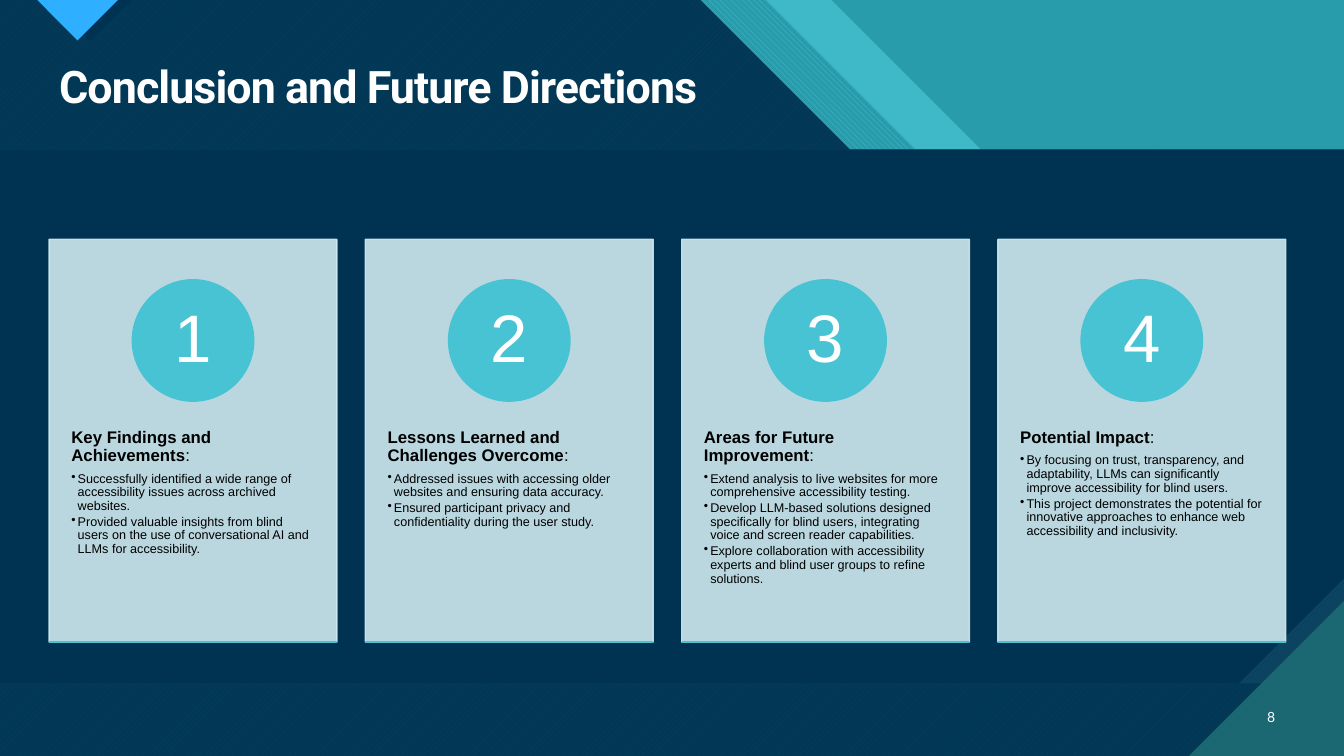
import lxml.etree
import pptx
import pptx.dml.color
import pptx.enum.dml
import pptx.enum.shapes
import pptx.enum.text
import pptx.oxml.ns
import pptx.util

Cm = pptx.util.Cm
Pt = pptx.util.Pt
SHAPE = pptx.enum.shapes.MSO_SHAPE
PATTERN = pptx.enum.dml.MSO_PATTERN
ALIGN = pptx.enum.text.PP_ALIGN
ANCHOR = pptx.enum.text.MSO_ANCHOR

WIDTH, HEIGHT = 33.87, 19.05
MARGIN = 1.24
HEADER_HEIGHT, PANEL_BOTTOM = 3.77, 17.22
CARD_WIDTH, CARD_HEIGHT, CARD_PITCH, CARD_TOP = 7.25, 10.15, 7.97, 6.03
BASE, AQUA, NAVY, DARK_TEAL = "299CAB", "47C3D3", "003352", "1B6872"

CARDS = [
    ("Key Findings and Achievements", [
        "Successfully identified a wide range of accessibility issues across archived websites.",
        "Provided valuable insights from blind users on the use of conversational AI and LLMs for accessibility.",
    ]),
    ("Lessons Learned and Challenges Overcome", [
        "Addressed issues with accessing older websites and ensuring data accuracy.",
        "Ensured participant privacy and confidentiality during the user study.",
    ]),
    ("Areas for Future Improvement", [
        "Extend analysis to live websites for more comprehensive accessibility testing.",
        "Develop LLM-based solutions designed specifically for blind users, integrating voice and screen reader "
        "capabilities.",
        "Explore collaboration with accessibility experts and blind user groups to refine solutions.",
    ]),
    ("Potential Impact", [
        "By focusing on trust, transparency, and adaptability, LLMs can significantly improve accessibility "
        "for blind users.",
        "This project demonstrates the potential for innovative approaches to enhance web accessibility "
        "and inclusivity.",
    ]),
]


def color(value):
    return pptx.dml.color.RGBColor.from_string(value)


def style_shape(shape, fill, line=None, opacity=100):
    """Fill with a hex colour, or with a (pattern, foreground, background) triple."""
    shape.shadow.inherit = False
    if isinstance(fill, tuple):
        shape.fill.patterned()
        shape.fill.pattern = fill[0]
        shape.fill.fore_color.rgb = color(fill[1])
        shape.fill.back_color.rgb = color(fill[2])
    else:
        shape.fill.solid()
        shape.fill.fore_color.rgb = color(fill)
    if line:
        shape.line.color.rgb = color(line)
        shape.line.width = Pt(1)
    else:
        shape.line.fill.background()
    if opacity < 100:
        for node in shape.element.spPr.iter(pptx.oxml.ns.qn("a:srgbClr")):
            alpha = lxml.etree.SubElement(node, pptx.oxml.ns.qn("a:alpha"))
            alpha.set("val", str(opacity * 1000))


def add_polygon(slide, points, fill, opacity=100):
    corners = [(Cm(x), Cm(y)) for x, y in points]
    builder = slide.shapes.build_freeform(*corners[0])
    builder.add_line_segments(corners[1:], close=True)
    style_shape(builder.convert_to_shape(), fill, opacity=opacity)


def add_box(slide, kind, left, top, width, height, fill, **style):
    shape = slide.shapes.add_shape(kind, Cm(left), Cm(top), Cm(width), Cm(height))
    style_shape(shape, fill, **style)
    return shape


def write_text(paragraph, text, size, font="Arial", ink="FFFFFF", bold=False, align=ALIGN.LEFT,
               after=0, spacing=0.9):
    paragraph.alignment = align
    paragraph.line_spacing = spacing
    paragraph.space_before = Pt(0)
    paragraph.space_after = Pt(after)
    run = paragraph.add_run()
    run.text = text
    run.font.name = font
    run.font.size = Pt(size)
    run.font.bold = bold
    run.font.color.rgb = color(ink)
    return run


def set_frame(frame, horizontal, vertical, anchor):
    frame.word_wrap = True
    frame.auto_size = pptx.enum.text.MSO_AUTO_SIZE.NONE
    frame.margin_left = frame.margin_right = Cm(horizontal)
    frame.margin_top = frame.margin_bottom = Cm(vertical)
    frame.vertical_anchor = anchor


def add_bullet(paragraph):
    properties = paragraph._p.get_or_add_pPr()
    indent = Cm(0.16)
    properties.set("marL", str(indent))
    properties.set("indent", str(-indent))
    bullet = lxml.etree.SubElement(properties, pptx.oxml.ns.qn("a:buChar"))
    bullet.set("char", "•")


def add_backdrop(slide, width, height):
    add_box(slide, SHAPE.RECTANGLE, 0, 0, width, height, BASE)
    ribbons = [
        (20.95, AQUA, 74),
        (19.3, (PATTERN.WIDE_DOWNWARD_DIAGONAL, AQUA, BASE), 100),
        (17.65, (PATTERN.WIDE_UPWARD_DIAGONAL, AQUA, DARK_TEAL), 100),
        (17.65, NAVY, 90),
    ]
    for edge, fill, opacity in ribbons:
        outline = [(0, 0), (edge, 0), (edge + HEADER_HEIGHT, HEADER_HEIGHT),
                   (width, HEADER_HEIGHT), (width, height), (0, height)]
        add_polygon(slide, outline, fill, opacity)
    for left, right, depth, fill in [(1.22, 3.33, 1.04, NAVY), (0.94, 2.97, 1.02, "2FAFFF")]:
        add_polygon(slide, [(left, 0), (right, 0), ((left + right) / 2, depth)], fill)
    add_box(slide, SHAPE.RECTANGLE, 0, HEADER_HEIGHT, width, PANEL_BOTTOM - HEADER_HEIGHT, "0C4360")
    snip = 2.65
    add_polygon(slide, [(0, HEADER_HEIGHT), (width, HEADER_HEIGHT), (width, PANEL_BOTTOM - snip),
                        (width - snip, PANEL_BOTTOM), (0, PANEL_BOTTOM)], NAVY)
    corner = 3.91
    add_polygon(slide, [(width - corner, height), (width, height), (width, height - corner)], DARK_TEAL)


def add_title(slide, left, top, width, height):
    title = slide.shapes.title
    slide.shapes.element.append(title.element)  # brings the title in front of the backdrop
    title.left, title.top, title.width, title.height = Cm(left), Cm(top), Cm(width), Cm(height)
    set_frame(title.text_frame, 0.25, 0.13, ANCHOR.MIDDLE)
    run = write_text(title.text_frame.paragraphs[0], "Conclusion and Future Directions", 32,
                     font="Roboto", bold=True)
    run.font._element.set("spc", "-70")


def add_card(slide, left, top, width, height, number, heading, points):
    add_box(slide, SHAPE.RECTANGLE, left, top, width, height, "CFE9EF", line="CFE9EF", opacity=90)

    body = slide.shapes.add_textbox(Cm(left), Cm(top + 3.87), Cm(width), Cm(6.08))
    frame = body.text_frame
    set_frame(frame, 0.56, 0.91, ANCHOR.TOP)
    paragraph = frame.paragraphs[0]
    write_text(paragraph, heading, 12, ink="000000", bold=True, after=5)
    write_text(paragraph, ":", 12, ink="000000", after=5)
    for point in points:
        paragraph = frame.add_paragraph()
        paragraph.level = 1
        write_text(paragraph, point, 9, ink="000000", after=1.6)
        add_bullet(paragraph)

    diameter = 3.06
    badge = add_box(slide, SHAPE.OVAL, left + (width - diameter) / 2, top + 1.02,
                    diameter, diameter, AQUA, line=AQUA)
    set_frame(badge.text_frame, 0.23, 0.03, ANCHOR.MIDDLE)
    write_text(badge.text_frame.paragraphs[0], str(number), 48, align=ALIGN.CENTER)

    base_line = slide.shapes.add_connector(
        pptx.enum.shapes.MSO_CONNECTOR.STRAIGHT,
        Cm(left), Cm(top + height), Cm(left + width), Cm(top + height))
    base_line.line.color.rgb = color(AQUA)
    base_line.line.width = Pt(1)
    lxml.etree.SubElement(base_line.element.spPr, pptx.oxml.ns.qn("a:effectLst"))


def add_slide_number(slide, left, top, width, height):
    box = slide.shapes.add_textbox(Cm(left), Cm(top), Cm(width), Cm(height))
    set_frame(box.text_frame, 0.25, 0.13, ANCHOR.MIDDLE)
    write_text(box.text_frame.paragraphs[0], "8", 10, font="Lato", align=ALIGN.RIGHT, spacing=1)


def main():
    presentation = pptx.Presentation()
    presentation.slide_width, presentation.slide_height = Cm(WIDTH), Cm(HEIGHT)
    slide = presentation.slides.add_slide(presentation.slide_layouts[5])
    add_backdrop(slide, WIDTH, HEIGHT)
    add_title(slide, MARGIN, 1.5, WIDTH - 2 * MARGIN, 1.5)
    for index, (heading, points) in enumerate(CARDS):
        add_card(slide, MARGIN + index * CARD_PITCH, CARD_TOP, CARD_WIDTH, CARD_HEIGHT,
                 index + 1, heading, points)
    add_slide_number(slide, 31.27, 17.55, 1.12, 1.02)
    presentation.save("out.pptx")


if __name__ == "__main__":
    main()
